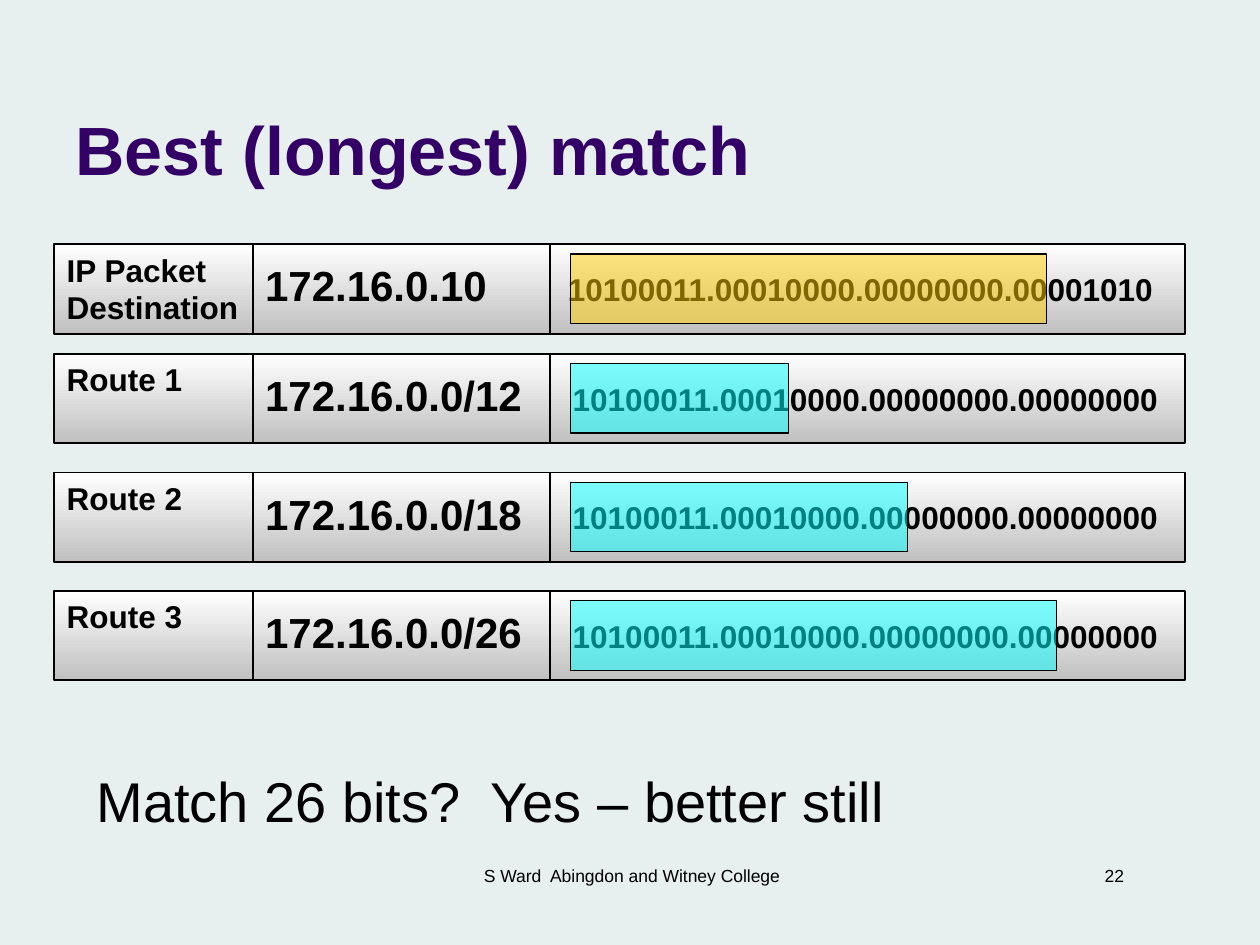
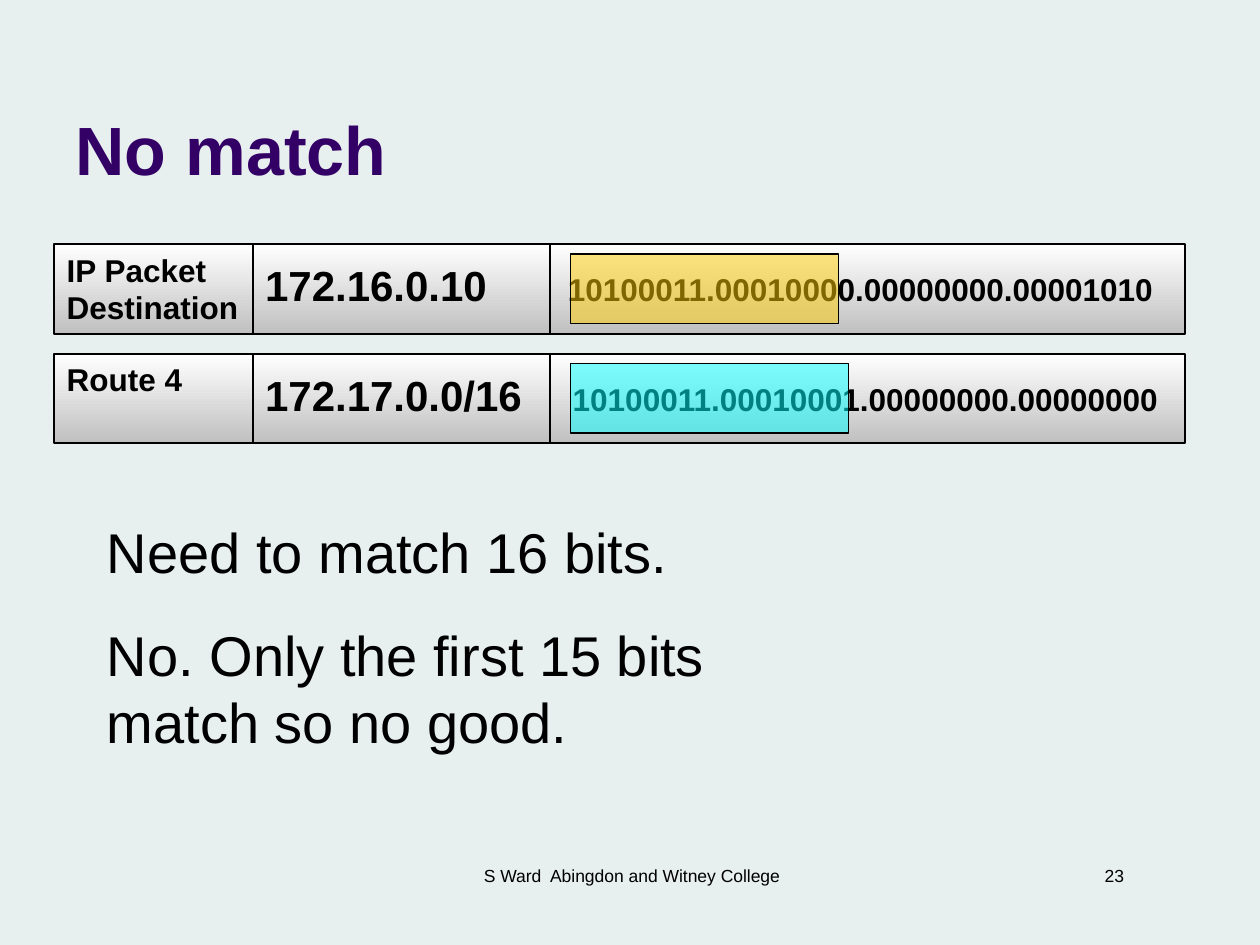
"""Build two slides on matching an IP address to a route."""
from lxml.etree import SubElement
from pptx import Presentation
from pptx.dml.color import RGBColor as RGB
from pptx.enum.shapes import MSO_SHAPE as SHAPE
from pptx.enum.text import MSO_ANCHOR as ANCHOR, MSO_AUTO_SIZE as AUTO, PP_ALIGN as ALIGN
from pptx.oxml.ns import qn
from pptx.util import Pt

PAPER = RGB(0xE7, 0xEF, 0xEF)
PURPLE = RGB(0x33, 0x00, 0x66)
BLACK = RGB(0x00, 0x00, 0x00)
WHITE = RGB(0xFF, 0xFF, 0xFF)
GREY = RGB(0xC0, 0xC0, 0xC0)
GOLD = RGB(0xFF, 0xCC, 0x00)
CYAN = RGB(0x00, 0xFF, 0xFF)

TITLE = {"name": "Arial", "size": Pt(39), "bold": True}
LABEL = {"name": "Arial", "size": Pt(18), "bold": True}
ADDRESS = {"name": "Arial", "size": Pt(24), "bold": True}
NOTE = {"name": "Arial", "size": Pt(32), "bold": False}
SMALL = {"name": "Arial", "size": Pt(10), "bold": False}

COLUMNS = (113.4, 170, 362.8)
LEFT, WIDTH, HEIGHT = 31, sum(COLUMNS), 51.1
TOP, FIRST, PITCH = 139.6, 202.2, 67.75

PACKET = ("IP Packet\nDestination", "172.16.0.10", "10100011.00010000.00000000.00001010")
DECK = [
    {
        "title": "Best (longest) match",
        "number": "22",
        "packet": 272.2,
        "routes": [
            ("Route 1", "172.16.0.0/12", "10100011.00010000.00000000.00000000", 124.6),
            ("Route 2", "172.16.0.0/18", "10100011.00010000.00000000.00000000", 192.8),
            ("Route 3", "172.16.0.0/26", "10100011.00010000.00000000.00000000", 277.9),
        ],
        "notes": ["Match 26 bits?  Yes – better still"],
        "box": (48, 434.2, 516, 46),
    },
    {
        "title": "No match",
        "number": "23",
        "packet": 153.2,
        "routes": [
            ("Route 4", "172.17.0.0/16", "10100011.00010001.00000000.00000000", 158.8),
        ],
        "notes": ["Need to match 16 bits.", "No. Only the first 15 bits match so no good."],
        "box": (54, 292.4, 396.8, 142.6),
    },
]


def points(box):
    """Turn a box of plain numbers into lengths."""
    return [Pt(side) for side in box]


def style(para, look, tint=BLACK):
    """Format each run of a paragraph."""
    for run in para.runs:
        for key, value in look.items():
            setattr(run.font, key, value)
        run.font.color.rgb = tint


def write(shapes, box, lines, look, align=ALIGN.LEFT, gap=0):
    """Add a text box with one paragraph per line."""
    frame = shapes.add_textbox(*points(box)).text_frame
    frame.word_wrap = True
    for i, line in enumerate(lines):
        para = frame.add_paragraph() if i else frame.paragraphs[0]
        para.text = line
        para.alignment = align
        if i:
            para.space_before = Pt(gap)
        style(para, look)


def block(shapes, box, weight):
    """Add an outlined rectangle."""
    shape = shapes.add_shape(SHAPE.RECTANGLE, *points(box))
    shape.shadow.inherit = False
    shape.line.color.rgb = BLACK
    shape.line.width = Pt(weight)
    return shape


def cell(shapes, box):
    """Add a cell that shades from white to grey."""
    fill = block(shapes, box, 1).fill
    fill.gradient()
    fill.gradient_angle = 270
    for stop, tint in zip(fill.gradient_stops, (WHITE, GREY)):
        stop.color.rgb = tint


def mark(shapes, box, tint):
    """Lay a half clear bar over the bits that count."""
    shape = block(shapes, box, 0.75)
    shape.fill.solid()
    shape.fill.fore_color.rgb = tint
    color = shape.element.spPr.find(qn("a:solidFill")).find(qn("a:srgbClr"))
    SubElement(color, qn("a:alpha"), val="50000")


def row(slide, box, words, span, tint, inset):
    """Draw one row of label, address and bits, with its bar."""
    left, top, width, height = box
    group = slide.shapes.add_group_shape().shapes
    label, address, bits = words
    second = left + COLUMNS[0]
    third = second + COLUMNS[1]
    for x, wide in zip((left, second, third), COLUMNS):
        cell(group, (x, top, wide, height))
    write(group, (left, top, 130.3, height), [label], LABEL)
    write(group, (second, top + 5.4, COLUMNS[1], 36), [address], ADDRESS)
    write(group, (third + inset, top + 11.2, 371.5, 28.8), [bits], LABEL)
    mark(slide.shapes, (third + 11.6, top + 5.6, span, 39.7), tint)


def head(slide, box, text):
    """Fill and place the title."""
    title = slide.shapes.title
    title.left, title.top, title.width, title.height = points(box)
    frame = title.text_frame
    frame.text = text
    frame.auto_size = AUTO.NONE
    frame.vertical_anchor = ANCHOR.BOTTOM
    para = frame.paragraphs[0]
    para.alignment = ALIGN.LEFT
    style(para, TITLE, PURPLE)


def foot(slide, box, number):
    """Add the author line and the slide number."""
    left, top, width, height = box
    write(slide.shapes, (left, top, 228, height), ["S Ward  Abingdon and Witney College"],
          SMALL, ALIGN.CENTER)
    write(slide.shapes, (left + width - 147.6, top, 147.6, 19.4), [number], SMALL, ALIGN.RIGHT)


def build(deck, data):
    """Add one slide of routes and notes."""
    slide = deck.slides.add_slide(deck.slide_layouts[5])
    head(slide, (36, 9.4, 594, 102.2), data["title"])
    row(slide, (LEFT, TOP, WIDTH, HEIGHT), PACKET, data["packet"], GOLD, 3)
    for i, (*words, span) in enumerate(data["routes"]):
        row(slide, (LEFT, FIRST + i * PITCH, WIDTH, HEIGHT), words, span, CYAN, 5.8)
    write(slide.shapes, data["box"], data["notes"], NOTE, gap=20)
    foot(slide, (247, 491, 402.4, 36), data["number"])


def main():
    """Build the deck and save it."""
    deck = Presentation()
    deck.slide_width, deck.slide_height = Pt(720), Pt(540)
    fill = deck.slide_master.background.fill
    fill.solid()
    fill.fore_color.rgb = PAPER
    for data in DECK:
        build(deck, data)
    deck.save("out.pptx")


if __name__ == "__main__":
    main()
